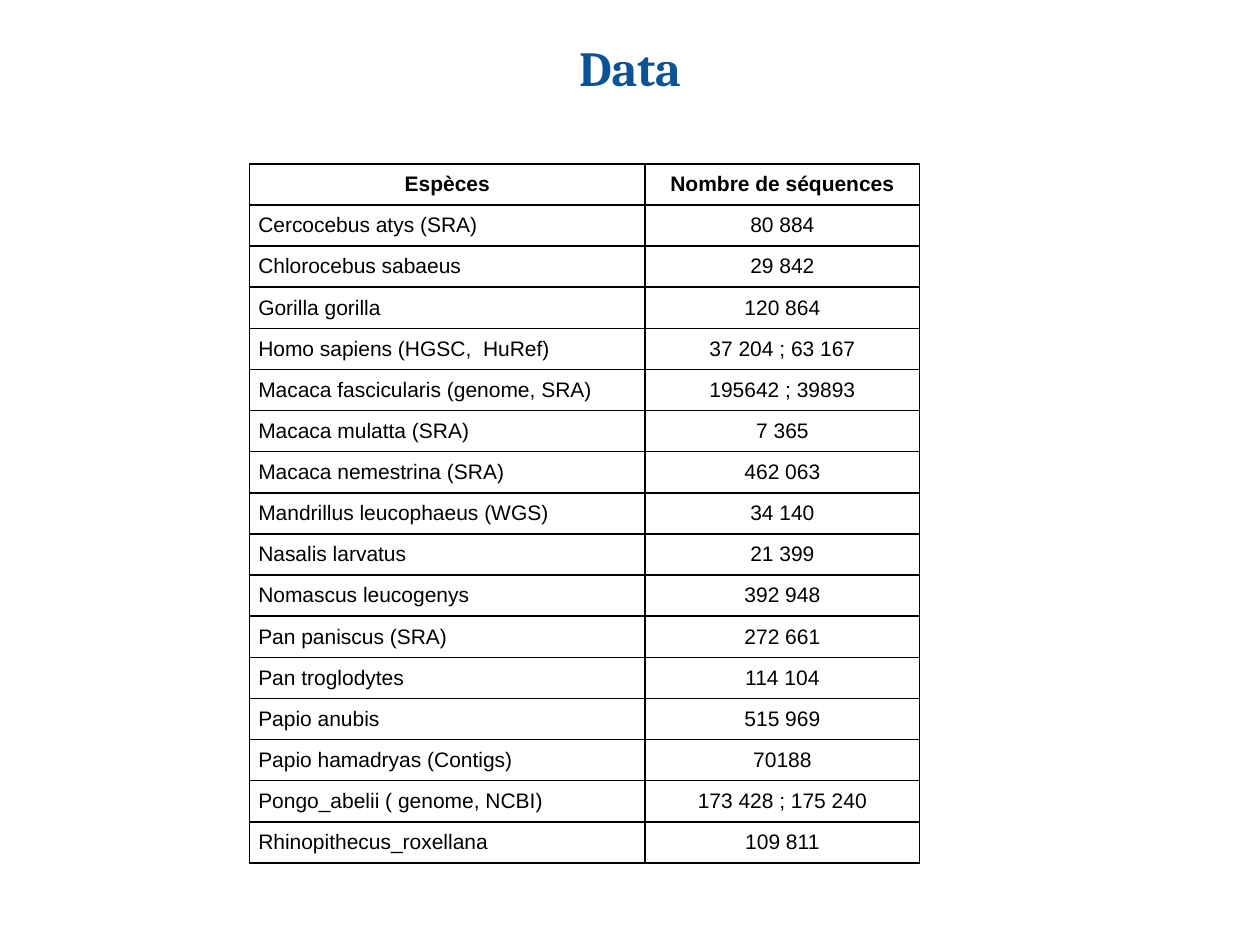
from lxml import etree
from pptx import Presentation
from pptx.dml.color import RGBColor
from pptx.enum.text import MSO_ANCHOR, PP_ALIGN
from pptx.oxml.ns import qn
from pptx.util import Inches, Pt

LEFT, CENTER = PP_ALIGN.LEFT, PP_ALIGN.CENTER
TOP = MSO_ANCHOR.TOP

HEADINGS = ("Espèces", "Nombre de séquences")
SPECIES = [
    ("Cercocebus atys (SRA)", "80 884"),
    ("Chlorocebus sabaeus", "29 842"),
    ("Gorilla gorilla", "120 864"),
    ("Homo sapiens (HGSC,  HuRef)", "37 204 ; 63 167"),
    ("Macaca fascicularis (genome, SRA)", "195642 ; 39893"),
    ("Macaca mulatta (SRA)", "7 365"),
    ("Macaca nemestrina (SRA)", "462 063"),
    ("Mandrillus leucophaeus (WGS)", "34 140"),
    ("Nasalis larvatus", "21 399"),
    ("Nomascus leucogenys", "392 948"),
    ("Pan paniscus (SRA)", "272 661"),
    ("Pan troglodytes", "114 104"),
    ("Papio anubis", "515 969"),
    ("Papio hamadryas (Contigs)", "70188"),
    ("Pongo_abelii ( genome, NCBI)", "173 428 ; 175 240"),
    ("Rhinopithecus_roxellana", "109 811"),
]


def color(hex_value):
    return RGBColor.from_string(hex_value)


def write(frame, text, font="Arial", size=12, ink="000000", bold=False, align=LEFT):
    paragraph = frame.paragraphs[0]
    paragraph.alignment = align
    run = paragraph.add_run()
    run.text = text
    run.font.name = font
    run.font.size = Pt(size)
    run.font.bold = bold
    run.font.color.rgb = color(ink)


def set_margins(target, margin):
    target.margin_left = target.margin_right = Inches(margin)
    target.margin_top = target.margin_bottom = Inches(margin)


class DataSlide:
    accent = "0B5394"
    border = "000000"
    title_font = "Cambria"

    def __init__(self, presentation):
        self.slide = presentation.slides.add_slide(presentation.slide_layouts[6])

    def title(self, text, left, top, width, height):
        heading = self.slide.shapes.add_textbox(
            Inches(left), Inches(top), Inches(width), Inches(height))
        frame = heading.text_frame
        frame.word_wrap = True
        frame.vertical_anchor = TOP
        set_margins(frame, 0.1)
        write(frame, text, font=self.title_font, size=28, ink=self.accent,
              bold=True, align=CENTER)

    def table(self, rows, left, top, widths, height):
        table = self.slide.shapes.add_table(
            len(rows), len(widths), Inches(left), Inches(top),
            Inches(sum(widths)), Inches(height)).table
        table.first_row = table.horz_banding = False
        for column, width in zip(table.columns, widths):
            column.width = Inches(width)
        for row_index, row in enumerate(rows):
            header = row_index == 0
            for column_index, text in enumerate(row):
                cell = table.cell(row_index, column_index)
                set_margins(cell, 0.07)
                cell.vertical_anchor = TOP
                write(cell.text_frame, text, bold=header,
                      align=CENTER if header or column_index else LEFT)
                self.outline(cell)
                cell.fill.background()

    def outline(self, cell):
        properties = cell._tc.get_or_add_tcPr()
        for side in ("a:lnL", "a:lnR", "a:lnT", "a:lnB"):
            line = etree.SubElement(properties, qn(side), w=str(Pt(1)))
            fill = etree.SubElement(line, qn("a:solidFill"))
            etree.SubElement(fill, qn("a:srgbClr"), val=self.border)


def main():
    presentation = Presentation()
    presentation.slide_width = Inches(10)
    presentation.slide_height = Inches(7.5)
    page = DataSlide(presentation)

    # Sequence counts by species
    page.table([HEADINGS, *SPECIES], 1.98, 1.3, (3.14, 2.18), 5.53)

    # Title
    page.title("Data", 0.34, 0.2, 9.32, 0.83)

    presentation.save("out.pptx")


if __name__ == "__main__":
    main()
